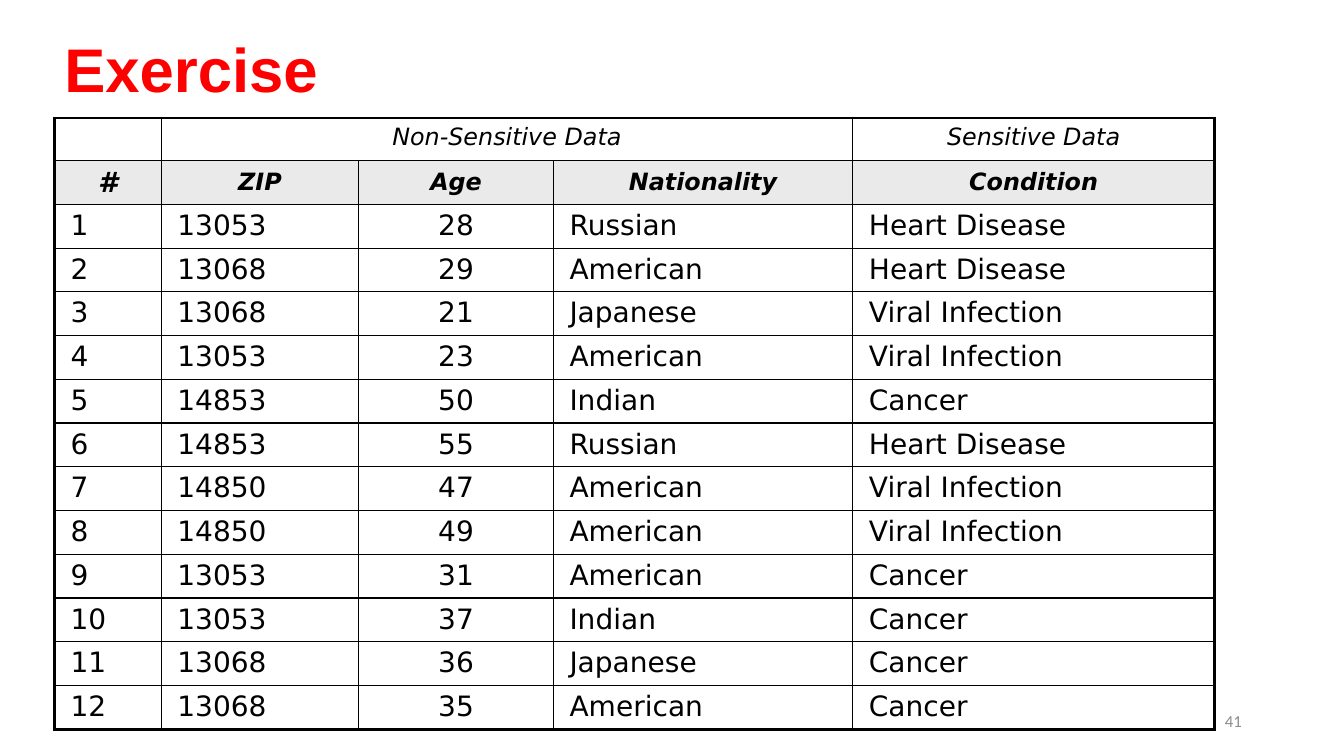
from lxml import etree
from pptx import Presentation
from pptx.dml.color import RGBColor
from pptx.enum.text import MSO_ANCHOR, PP_ALIGN
from pptx.oxml.ns import qn
from pptx.util import Inches, Pt

LEFT, CENTER, RIGHT = PP_ALIGN.LEFT, PP_ALIGN.CENTER, PP_ALIGN.RIGHT
TOP, MIDDLE = MSO_ANCHOR.TOP, MSO_ANCHOR.MIDDLE
WIDTH, HEIGHT = Inches(13.33), Inches(7.5)
GRID = 100

COLUMNS = [7.95, 14.7, 14.48, 22.28, 26.92]
ROW = 5.65
GROUPS = ["", "Non-Sensitive Data", "", "", "Sensitive Data"]
HEADINGS = ["#", "ZIP", "Age", "Nationality", "Condition"]
PATIENTS = [
    ("13053", "28", "Russian", "Heart Disease"),
    ("13068", "29", "American", "Heart Disease"),
    ("13068", "21", "Japanese", "Viral Infection"),
    ("13053", "23", "American", "Viral Infection"),
    ("14853", "50", "Indian", "Cancer"),
    ("14853", "55", "Russian", "Heart Disease"),
    ("14850", "47", "American", "Viral Infection"),
    ("14850", "49", "American", "Viral Infection"),
    ("13053", "31", "American", "Cancer"),
    ("13053", "37", "Indian", "Cancer"),
    ("13068", "36", "Japanese", "Cancer"),
    ("13068", "35", "American", "Cancer"),
]


def color(code):
    return RGBColor.from_string(code)


def across(columns):
    return round(columns * WIDTH / GRID)


def down(rows):
    return round(rows * HEIGHT / GRID)


class ExercisePage:
    ink = "000000"
    shade = "EAEAEA"
    table_font = "DejaVu Sans"
    thin, thick = 1, 2.25

    def __init__(self, deck):
        self.page = deck.slides.add_slide(deck.slide_layouts[6])

    def span(self, para, text, size, font, code, bold=False, italic=False):
        span = para.add_run()
        span.text = text
        span.font.size = Pt(size)
        span.font.name = font
        span.font.bold = bold
        span.font.italic = italic
        span.font.color.rgb = color(code)

    def text(self, left, top, width, height, text, size, font, code,
             align=LEFT, bold=False, spacing=1.0):
        box = self.page.shapes.add_textbox(
            across(left), down(top), across(width), down(height))
        frame = box.text_frame
        frame.word_wrap = True
        frame.vertical_anchor = MIDDLE
        para = frame.paragraphs[0]
        para.alignment = align
        para.line_spacing = spacing
        self.span(para, text, size, font, code, bold)

    def borders(self, cell, widths):
        properties = cell._tc.get_or_add_tcPr()
        for side, width in widths.items():
            line = etree.SubElement(properties, qn(f"a:ln{side}"), w=str(Pt(width)))
            fill = etree.SubElement(line, qn("a:solidFill"))
            etree.SubElement(fill, qn("a:srgbClr"), val=self.ink)

    def cell(self, cell, text, size, align, anchor, bold, italic):
        cell.margin_left = cell.margin_right = Inches(0.16)
        cell.margin_top = cell.margin_bottom = Inches(0.05)
        cell.vertical_anchor = anchor
        if text:
            para = cell.text_frame.paragraphs[0]
            para.alignment = align
            before = etree.SubElement(para._p.get_or_add_pPr(), qn("a:spcBef"))
            etree.SubElement(before, qn("a:spcPct"), val="20000")
            self.span(para, text, size, self.table_font, self.ink, bold, italic)

    def table(self, left, top, rows):
        last_row, last_column = len(rows) - 1, len(COLUMNS) - 1
        table = self.page.shapes.add_table(
            len(rows), len(COLUMNS), across(left), down(top),
            across(sum(COLUMNS)), down(ROW * len(rows))).table
        table.first_row = table.horz_banding = False
        for column, width in zip(table.columns, COLUMNS):
            column.width = across(width)
        for r, values in enumerate(rows):
            table.rows[r].height = down(ROW)
            header, heading = r < 2, r == 1
            for c, value in enumerate(values):
                cell = table.cell(r, c)
                self.borders(cell, {
                    "L": self.thick if c == 0 else self.thin,
                    "R": self.thick if c == last_column else self.thin,
                    "T": self.thick if r == 0 else self.thin,
                    "B": self.thick if r == last_row else self.thin,
                })
                if heading:
                    cell.fill.solid()
                    cell.fill.fore_color.rgb = color(self.shade)
                else:
                    cell.fill.background()
                self.cell(
                    cell, value,
                    size=17 if header and value != "#" else 20,
                    align=CENTER if header or c == 2 else LEFT,
                    anchor=MIDDLE if heading else TOP,
                    bold=heading, italic=header)
        table.cell(0, 1).merge(table.cell(0, 3))


def main():
    deck = Presentation()
    deck.slide_width, deck.slide_height = WIDTH, HEIGHT
    exercise = ExercisePage(deck)
    exercise.text(4.05, 0, 86.33, 19.33, "Exercise", 44, "Arial", "FF0000",
                  bold=True, spacing=0.9)
    records = [(str(number), *patient) for number, patient in enumerate(PATIENTS, 1)]
    exercise.table(4.05, 15.6, [GROUPS, HEADINGS, *records])
    exercise.text(70.65, 92.67, 22.5, 5.33, "41", 12, "Calibri", "8C8C8C", align=RIGHT)
    deck.save("out.pptx")


if __name__ == "__main__":
    main()
